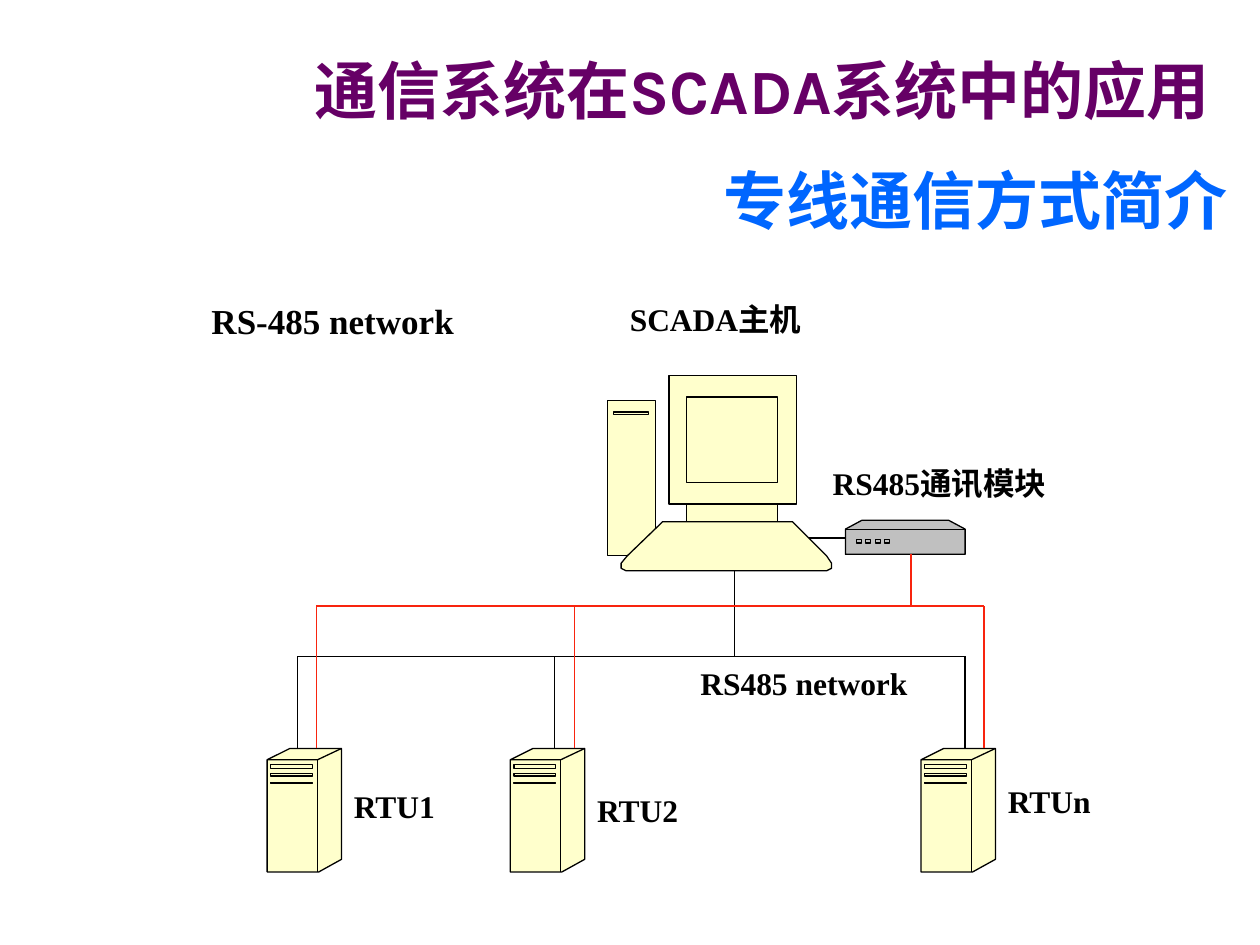
from pptx import Presentation
from pptx import util as u
from pptx.dml.color import RGBColor
from pptx.enum import shapes, text
from pptx.oxml import parse_xml
from pptx.oxml.ns import nsdecls, qn

PX = 9144  # 100 px to the inch
SERIF, CJK = "Times New Roman", "Noto Sans CJK SC"
BLACK, RED, CREAM, GREY = "000000", "F8240E", "FFFFCC", "C0C0C0"


def color(hex_value):
    return RGBColor.from_string(hex_value)


def label(slide, box, words, size=18, font=SERIF, ink=BLACK, wrap=False,
          align=text.PP_ALIGN.LEFT, anchor=text.MSO_ANCHOR.TOP):
    frame = slide.shapes.add_textbox(*(v * PX for v in box)).text_frame
    frame.word_wrap = wrap
    if not wrap:
        frame.auto_size = text.MSO_AUTO_SIZE.SHAPE_TO_FIT_TEXT
    frame.vertical_anchor = anchor
    frame.text = words
    paragraph = frame.paragraphs[0]
    paragraph.alignment = align
    run = paragraph.runs[0]
    run.font.name = font
    run.font.size = u.Pt(size)
    run.font.bold = True
    run.font.color.rgb = color(ink)
    run.font._element.append(
        parse_xml(f'<a:ea {nsdecls("a")} typeface="{CJK}"/>'))


def line(slide, start, end, ink=BLACK):
    wire = slide.shapes.add_connector(
        shapes.MSO_CONNECTOR.STRAIGHT, *(v * PX for v in (*start, *end)))
    wire.line.color.rgb = color(ink)
    wire.line.width = u.Pt(0.75)
    wire._element.find(qn("p:spPr")).append(
        parse_xml(f'<a:effectLst {nsdecls("a")}/>'))


def outline(slide, origin, contours, fill=None, closed=True):
    """Draw contours, given relative to the origin, as one freeform."""
    left, top = origin
    builder = None
    for contour in contours:
        (x, y), *rest = [(left + px, top + py) for px, py in contour]
        if builder is None:
            builder = slide.shapes.build_freeform(x, y, scale=PX)
        else:
            builder.move_to(x, y)
        builder.add_line_segments(rest, close=closed)
    form = builder.convert_to_shape()
    form.shadow.inherit = False
    form.line.color.rgb = color(BLACK)
    form.line.width = u.Pt(0.75)
    if fill:
        form.fill.solid()
        form.fill.fore_color.rgb = color(fill)
    else:
        form.fill.background()


def rect(x, y, width, height):
    return [(x, y), (x + width, y), (x + width, y + height), (x, y + height)]


def headings(slide):
    label(slide, (240, 36, 760, 66), "通信系统在SCADA系统中的应用", 36, "Karla",
          "660066", wrap=True)
    label(slide, (212, 124, 772, 69), "专线通信方式简介", 36, CJK, "0066FF",
          wrap=True, align=text.PP_ALIGN.RIGHT,
          anchor=text.MSO_ANCHOR.BOTTOM)
    label(slide, (158, 233, 825, 140), "RS-485 network", 20, wrap=True)


def host_computer(slide, left, top):
    origin = (left, top)
    tower = rect(0, 20, 38, 123)
    monitor, neck = rect(49, 0, 101, 102), rect(63, 102, 72, 14)
    keyboard = [(44, 116), (147, 116), (174, 143), (178, 149), (178, 153),
                (174, 155), (15, 155), (11, 153), (11, 149), (16, 143)]
    for part in (tower, neck, monitor, keyboard):
        outline(slide, origin, [part], CREAM)
    drive, screen = rect(5, 29, 28, 2), rect(63, 17, 72, 68)
    outline(slide, origin, [drive, screen])
    label(slide, (left + 8, top - 65, 164, 40), "SCADA主机")


def comm_module(slide, left, top):
    origin = (left, top)
    case = [(0, 7), (13, 0), (82, 0), (95, 7), (95, 27), (0, 27)]
    outline(slide, origin, [case], GREY)
    outline(slide, origin, [[(0, 7), (95, 7)]], closed=False)
    lamps = [rect(9 + 15 * i // 2, 15, 4, 3) for i in range(4)]
    outline(slide, origin, lamps)
    label(slide, (left - 20, top - 50, 198, 40), "RS485通讯模块")


def rtu(slide, left, top, name, name_top):
    origin = (left, top)
    case = [(0, 9), (18, 0), (59, 0), (59, 88), (41, 98), (0, 98)]
    edges = [[(0, 9), (40, 9), (59, 0)], [(40, 9), (40, 98)]]
    slots = [rect(3, y, 33, height) for y, height in ((13, 3), (20, 2), (27, 1))]
    outline(slide, origin, [case], CREAM)
    outline(slide, origin, edges, closed=False)
    outline(slide, origin, slots)
    label(slide, (left + 59, top + name_top, 88, 40), name)


def bus(slide, y, drops, bottom, tap_x, tap_top, ink):
    line(slide, (drops[0], y), (drops[-1], y), ink)
    for x in drops:
        line(slide, (x, bottom), (x, y), ink)
    line(slide, (tap_x, y), (tap_x, tap_top), ink)


def main():
    deck = Presentation()
    deck.slide_width, deck.slide_height = 1000 * PX, 750 * PX
    slide = deck.slides.add_slide(deck.slide_layouts[6])

    headings(slide)

    # Remote units
    for left, name, name_top in ((212, "RTU1", 26), (405, "RTU2", 29),
                                 (731, "RTUn", 22)):
        rtu(slide, left, 594, name, name_top)

    # Host with its module
    host_computer(slide, 482, 298)
    comm_module(slide, 671, 413)
    line(slide, (671, 427), (642, 427))

    # Host bus and module bus
    bus(slide, 521, (236, 440, 766), 594, 583, 453, BLACK)
    bus(slide, 481, (251, 456, 781), 594, 723, 440, RED)
    label(slide, (546, 522, 187, 40), "RS485 network")

    deck.save("out.pptx")


if __name__ == "__main__":
    main()
